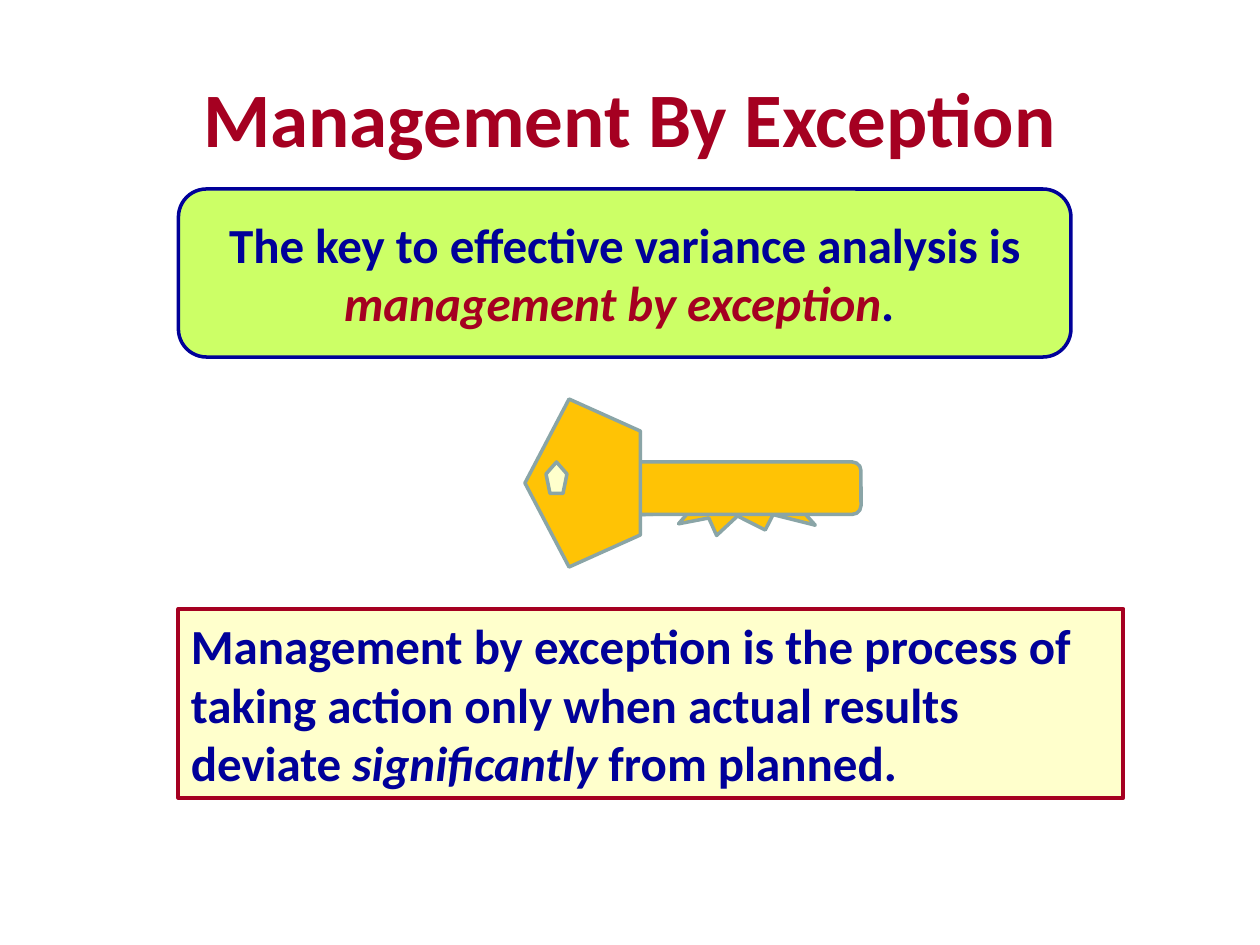
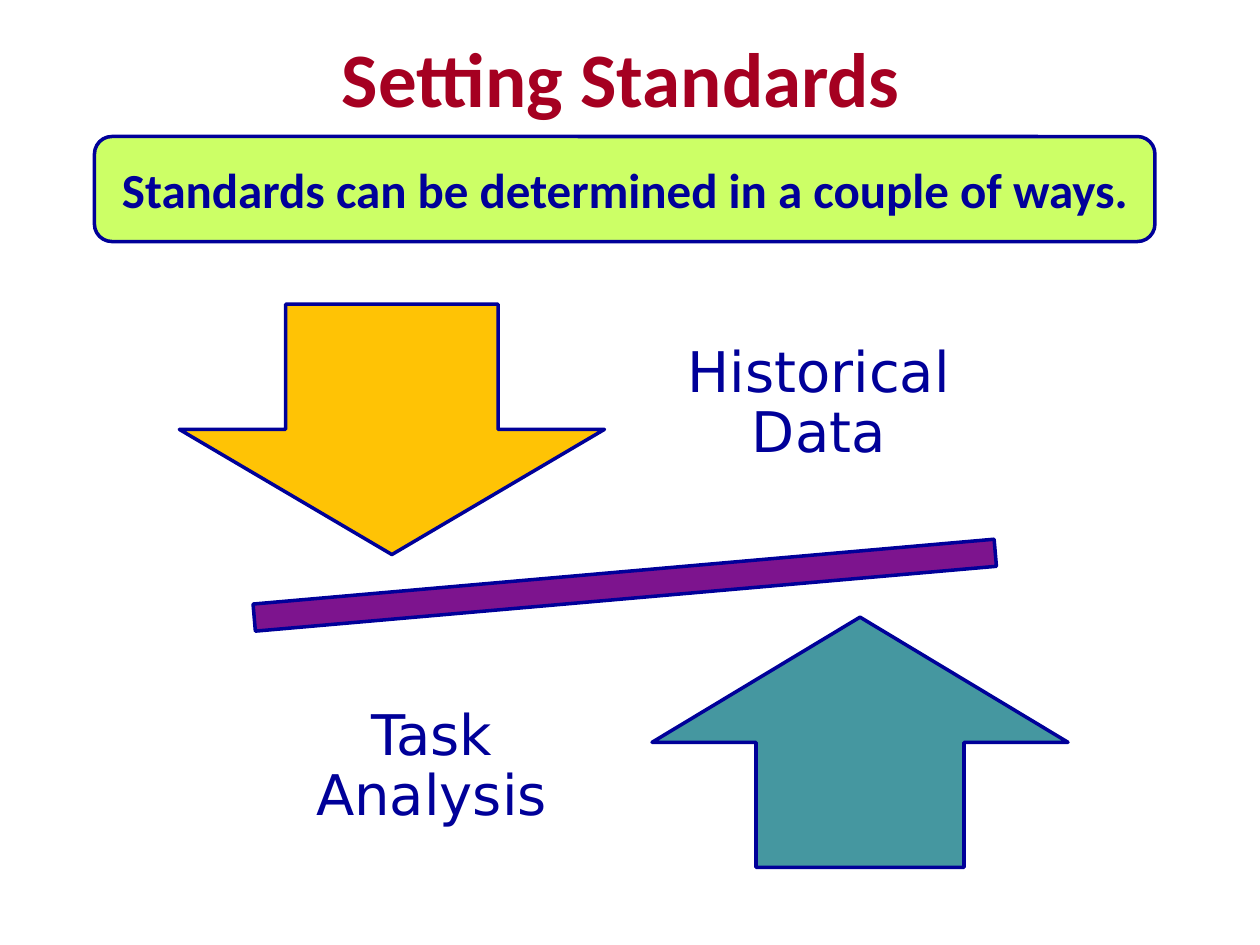
import pptx
import pptx.util
import pptx.dml.color
import pptx.enum.shapes
import pptx.enum.text

SHAPE = pptx.enum.shapes.MSO_SHAPE
ALIGN = pptx.enum.text.PP_ALIGN
ANCHOR = pptx.enum.text.MSO_ANCHOR
AUTO = pptx.enum.text.MSO_AUTO_SIZE
COLORS = {
    "red": "A50021", "navy": "000099", "lime": "CCFF66", "cream": "FFFFCC",
    "gold": "FFC305", "steel": "8AA5A7", "purple": "7D148E", "teal": "4597A0",
}
WIDTH, HEIGHT = pptx.util.Inches(10), pptx.util.Inches(7.5)
SLIDE_GRID = (120, 90)
KEY_GRID = (32, 16)
PERCENT = (100, 100)


def rgb(name):
    """Return the named colour."""
    return pptx.dml.color.RGBColor.from_string(COLORS[name])


def cell(box, grid, left, top, width, height):
    """Return a block of grid cells of a box as left, top, width, height."""
    x, y, w, h = box
    col, row = w / grid[0], h / grid[1]
    return (round(x + left * col), round(y + top * row),
            round(width * col), round(height * row))


def on_slide(*block):
    """Return a block of the slide's own grid."""
    return cell((0, 0, WIDTH, HEIGHT), SLIDE_GRID, *block)


def write(sp, *runs, size=28, font="Calibri", color="navy", bold=True,
          align=ALIGN.CENTER, anchor=ANCHOR.MIDDLE, inset=(0.1, 0.05),
          spacing=None, fit=AUTO.NONE):
    """Fill a shape with one paragraph of (text, overrides) runs."""
    tf = sp.text_frame
    tf.word_wrap, tf.auto_size, tf.vertical_anchor = True, fit, anchor
    tf.margin_left = tf.margin_right = pptx.util.Inches(inset[0])
    tf.margin_top = tf.margin_bottom = pptx.util.Inches(inset[1])
    p = tf.paragraphs[0]
    p.alignment, p.line_spacing = align, spacing
    for text, extra in runs:
        r = p.add_run()
        r.text = text
        r.font.name, r.font.size, r.font.bold = font, pptx.util.Pt(size), bold
        r.font.italic = extra.get("italic", False)
        r.font.color.rgb = rgb(extra.get("color", color))


def draw(s, kind, box, fill, line="navy", weight=2, rotation=0):
    """Add a filled and outlined preset shape."""
    sp = s.shapes.add_shape(kind, *box)
    sp.shadow.inherit = False
    sp.fill.solid()
    sp.fill.fore_color.rgb = rgb(fill)
    sp.line.color.rgb = rgb(line)
    sp.line.width = pptx.util.Pt(weight)
    sp.rotation = rotation
    return sp


def titled_slide(prs, title, rows):
    """Add a title-only slide with a title of the given height."""
    s = prs.slides.add_slide(prs.slide_layouts[5])
    sp = s.shapes.title
    sp.left, sp.top, sp.width, sp.height = on_slide(6, 3.6, 108, rows)
    write(sp, (title, {}), size=44, color="red")
    return s


def banner(s, box, *runs):
    """Add the rounded lime statement band."""
    write(draw(s, SHAPE.ROUNDED_RECTANGLE, box, "lime"), *runs)


def key(s, box):
    """Draw a key with teeth, shaft, bow and hole."""
    parts = (
        (SHAPE.EXPLOSION1, (10, 7, 21, 6), "gold", 0),
        (SHAPE.ROUNDED_RECTANGLE, (10, 6, 22, 5), "gold", 0),
        (SHAPE.REGULAR_PENTAGON, (-2.5, 2.5, 16, 11), "gold", 270),
        (SHAPE.REGULAR_PENTAGON, (2, 6, 2, 3), "cream", 0),
    )
    for kind, block, fill, rotation in parts:
        draw(s, kind, cell(box, KEY_GRID, *block), fill, "steel", rotation=rotation)


def definition(s, box, *runs):
    """Add the framed definition."""
    sp = draw(s, SHAPE.RECTANGLE, box, "cream", "red", 2.25)
    write(sp, *runs, align=ALIGN.LEFT, anchor=ANCHOR.TOP, fit=AUTO.SHAPE_TO_FIT_TEXT)


def balance(s, box):
    """Draw two opposed arrows across a tilted bar, each with its label."""
    parts = (
        (SHAPE.MATH_MINUS, (0, 40.64, 100, 18.5), "purple", 355),
        (SHAPE.DOWN_ARROW, (6, 5, 42, 40), "gold", 0),
        (SHAPE.UP_ARROW, (52.7, 55, 41.1, 40), "teal", 0),
    )
    for kind, block, fill, rotation in parts:
        draw(s, kind, cell(box, PERCENT, *block), fill, rotation=rotation)
    for text, left, top in (("Historical Data", 53.05, 0), ("Task Analysis", 14.8, 58)):
        sp = s.shapes.add_textbox(*cell(box, PERCENT, left, top, 32.25, 42))
        write(sp, (text, {}), size=32, font="DejaVu Sans", bold=False,
              inset=(0.25, 0.25), spacing=0.9)


def exception_slide(prs):
    """Build the slide on management by exception."""
    s = titled_slide(prs, "Management By Exception", 15)
    definition(s, on_slide(17, 58, 90, 18),
               ("Management by exception is the process of taking action only "
                "when actual results deviate ", {}),
               ("significantly", {"italic": True}),
               (" from planned.", {}))
    key(s, on_slide(50, 38, 32, 16))
    banner(s, on_slide(17, 18, 85, 16),
           ("The key to effective variance analysis is ", {}),
           ("management by exception", {"italic": True, "color": "red"}),
           (". ", {}))


def standards_slide(prs):
    """Build the slide on setting standards."""
    s = titled_slide(prs, "Setting Standards ", 7.4)
    balance(s, on_slide(11.3, 26, 96.4, 59.6))
    banner(s, on_slide(9, 13, 101, 10),
           ("Standards can be determined in a couple of ways.", {}))


def main():
    """Build and save the presentation."""
    prs = pptx.Presentation()
    prs.slide_width, prs.slide_height = WIDTH, HEIGHT
    exception_slide(prs)
    standards_slide(prs)
    prs.save("out.pptx")


if __name__ == "__main__":
    main()
